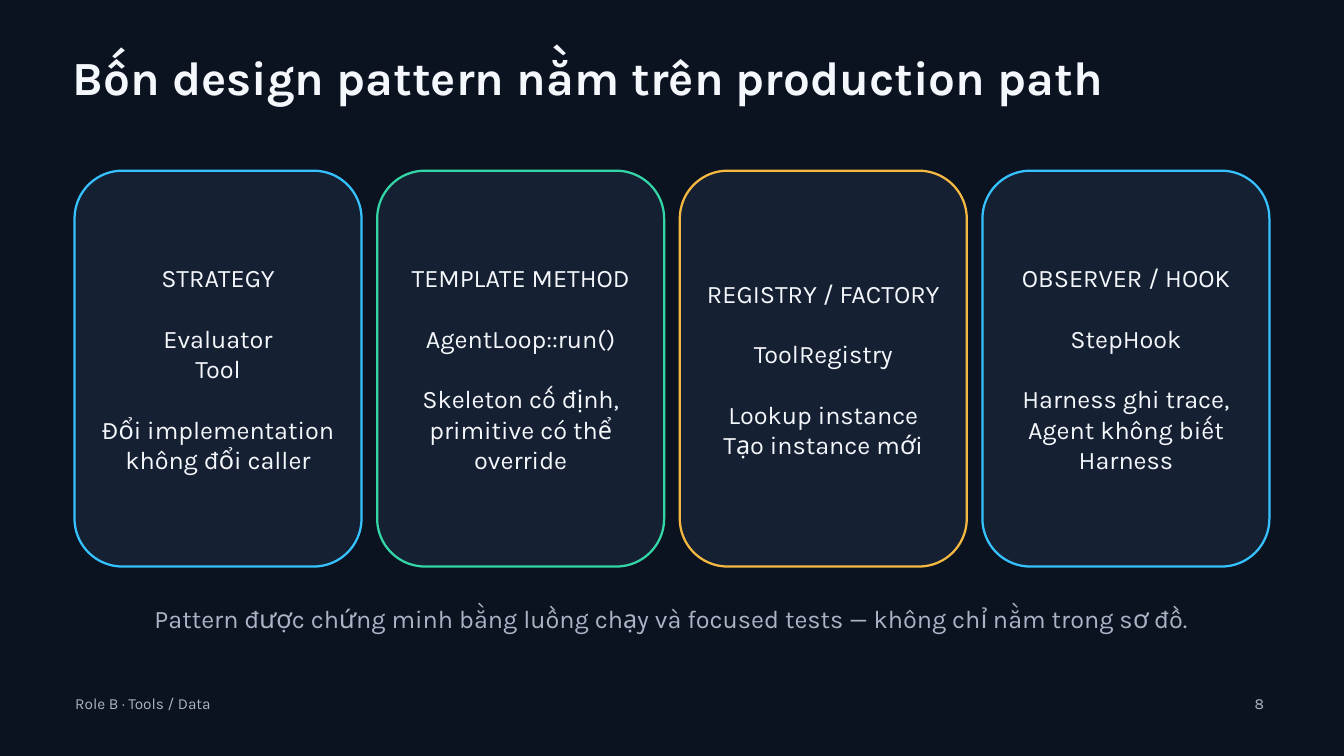
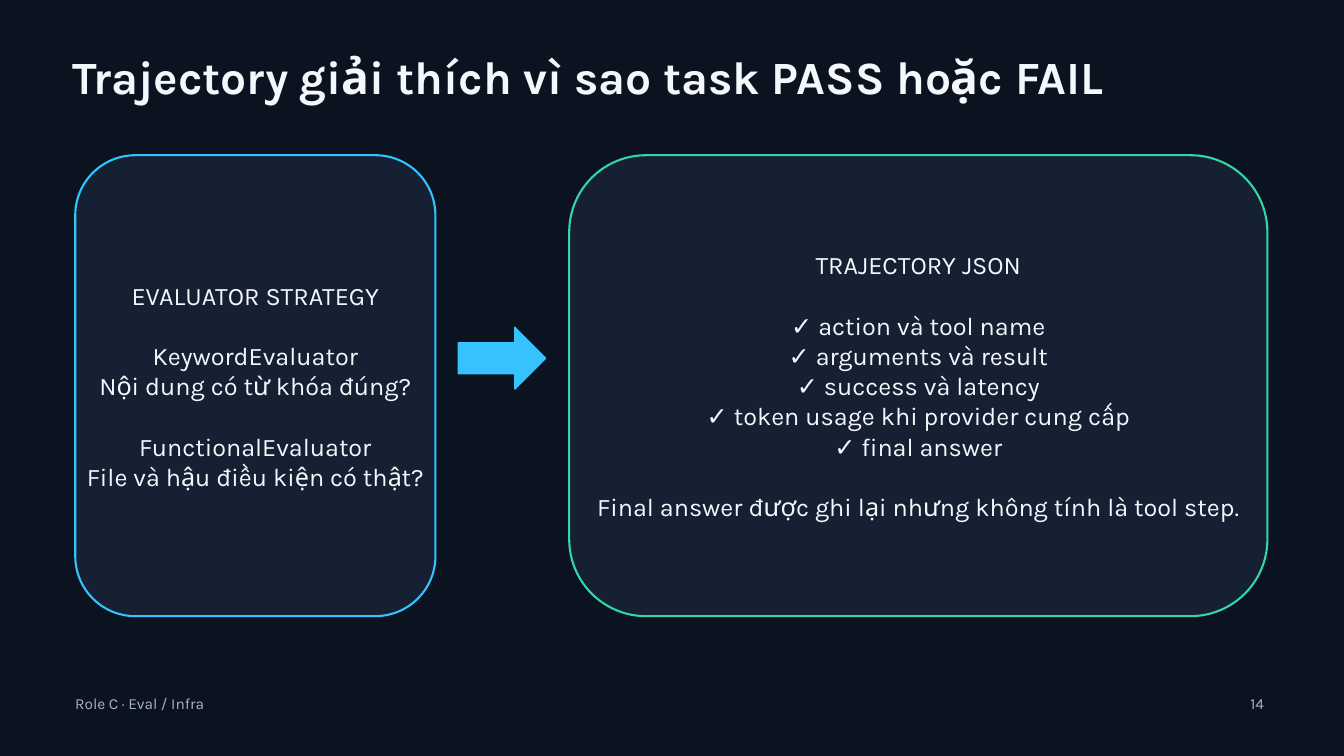
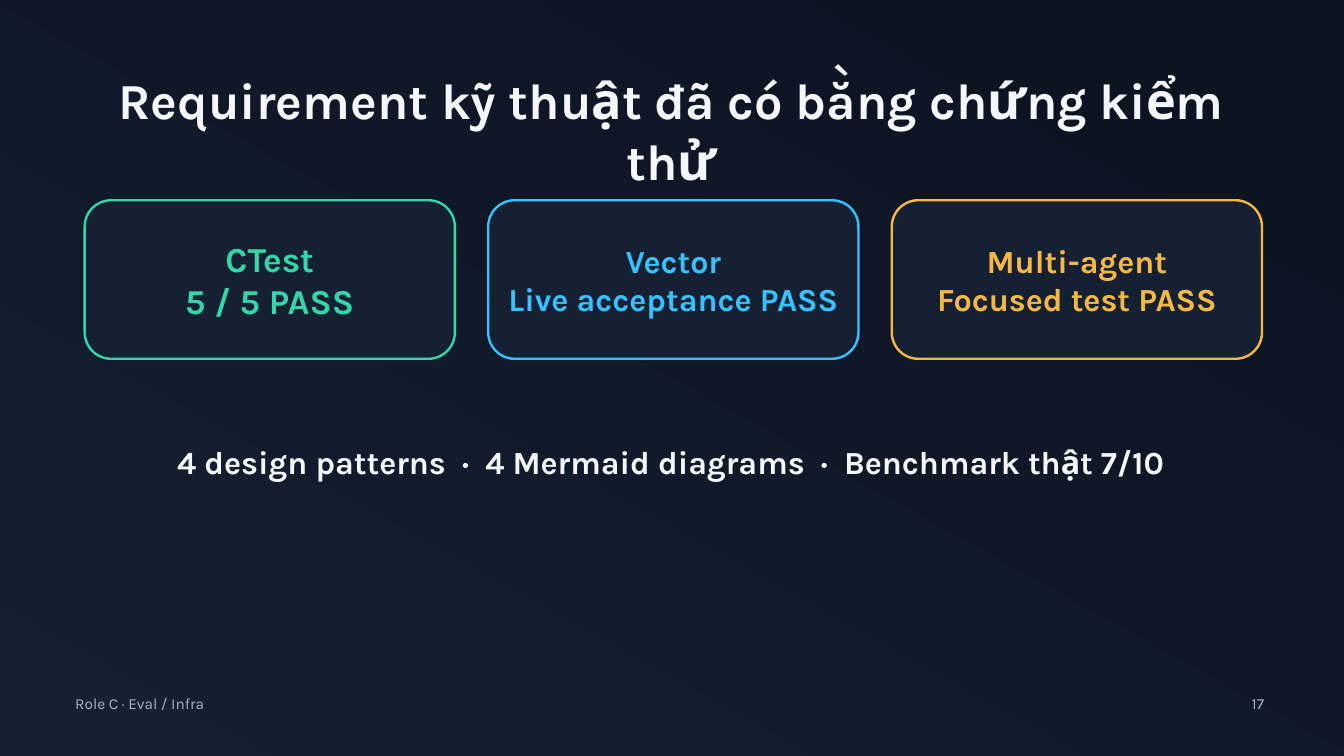
from pptx import Presentation
from pptx.dml.color import RGBColor
from pptx.enum.shapes import MSO_SHAPE
from pptx.enum.text import MSO_ANCHOR, MSO_AUTO_SIZE, PP_ALIGN
from pptx.util import Inches, Pt

ROUND, ARROW = MSO_SHAPE.ROUNDED_RECTANGLE, MSO_SHAPE.RIGHT_ARROW
TOP, MIDDLE = MSO_ANCHOR.TOP, MSO_ANCHOR.MIDDLE
LEFT, CENTER, RIGHT = PP_ALIGN.LEFT, PP_ALIGN.CENTER, PP_ALIGN.RIGHT
NO_FIT = MSO_AUTO_SIZE.NONE

FONT = "Karla"
LINE_RATIO = 1.2
COLORS = {
    "bg": "0B1220", "panel": "162033", "text": "F4F7FB", "muted": "A9B5C7",
    "blue": "35C2FF", "green": "33D6A6", "amber": "F5B942",
}

PATTERNS = {
    "title": "Bốn design pattern nằm trên production path",
    "cards": [
        ("blue", [["STRATEGY"], ["Evaluator", "Tool"],
                  ["Đổi implementation", "không đổi caller"]]),
        ("green", [["TEMPLATE METHOD"], ["AgentLoop::run()"],
                   ["Skeleton cố định,", "primitive có thể override"]]),
        ("amber", [["REGISTRY / FACTORY"], ["ToolRegistry"],
                   ["Lookup instance", "Tạo instance mới"]]),
        ("blue", [["OBSERVER / HOOK"], ["StepHook"],
                  ["Harness ghi trace,", "Agent không biết Harness"]]),
    ],
    "note": "Pattern được chứng minh bằng luồng chạy và focused tests — không chỉ nằm trong sơ đồ.",
    "footer": ("Role B · Tools / Data", "8"),
}
TRAJECTORY = {
    "title": "Trajectory giải thích vì sao task PASS hoặc FAIL",
    "cards": [
        (1.12, 5.36, "blue", [
            ["EVALUATOR STRATEGY"],
            ["KeywordEvaluator", "Nội dung có từ khóa đúng?"],
            ["FunctionalEvaluator", "File và hậu điều kiện có thật?"]]),
        (8.47, 10.39, "green", [
            ["TRAJECTORY JSON"],
            ["✓ action và tool name", "✓ arguments và result",
             "✓ success và latency", "✓ token usage khi provider cung cấp",
             "✓ final answer"],
            ["Final answer được ghi lại nhưng không tính là tool step."]]),
    ],
    "footer": ("Role C · Eval / Infra", "14"),
}
EVIDENCE = {
    "title": "Requirement kỹ thuật đã có bằng chứng kiểm thử",
    "cards": [
        ("green", 37.5, [["CTest", "5 / 5 PASS"]]),
        ("blue", 34.5, [["Vector", "Live acceptance PASS"]]),
        ("amber", 34.5, [["Multi-agent", "Focused test PASS"]]),
    ],
    "note": "4 design patterns  ·  4 Mermaid diagrams  ·  Benchmark thật 7/10",
    "footer": ("Role C · Eval / Infra", "17"),
}


def rgb(name):
    return RGBColor.from_string(COLORS[name])


def set_attrs(obj, values):
    for name, value in values.items():
        setattr(obj, name, value)


def write(sp, groups, size, color="text", bold=False, align=LEFT,
          anchor=TOP, inset=0, wrap=True):
    tf = sp.text_frame
    set_attrs(tf, {"auto_size": NO_FIT, "word_wrap": wrap, "vertical_anchor": anchor})
    for side in ("left", "top", "right", "bottom"):
        setattr(tf, f"margin_{side}", Inches(inset))
    line = Pt(size * LINE_RATIO)
    rows = [(text, g > 0 and i == 0)
            for g, group in enumerate(groups) for i, text in enumerate(group)]
    for n, (text, starts_group) in enumerate(rows):
        p = tf.add_paragraph() if n else tf.paragraphs[0]
        set_attrs(p, {"alignment": align, "line_spacing": line,
                      "space_before": line if starts_group else Pt(0)})
        r = p.add_run()
        r.text = text
        set_attrs(r.font, {"name": FONT, "size": Pt(size), "bold": bold})
        r.font.color.rgb = rgb(color)


def add_text(s, box, text, size, **style):
    sp = s.shapes.add_textbox(*map(Inches, box))
    write(sp, [[text]], size, **style)


def add_panel(s, kind, box, fill, line, width):
    sp = s.shapes.add_shape(kind, *map(Inches, box))
    sp.shadow.inherit = False
    sp.fill.solid()
    sp.fill.fore_color.rgb = rgb(fill)
    sp.line.color.rgb = rgb(line)
    sp.line.width = Pt(width)
    return sp


def add_card(s, box, accent, groups, line_width, size=27, **style):
    sp = add_panel(s, ROUND, box, "panel", accent, line_width)
    write(sp, groups, size, align=CENTER, anchor=MIDDLE, inset=0.06, **style)


def columns(left, right, width, count):
    step = (right - left - width) / (count - 1)
    return [left + i * step for i in range(count)]


def add_slide(prs, content, title_box, title_size, align=LEFT):
    s = prs.slides.add_slide(prs.slide_layouts[5])
    sp = s.shapes.title
    set_attrs(sp, dict(zip(("left", "top", "width", "height"), map(Inches, title_box))))
    write(sp, [[content["title"]]], title_size, bold=True, align=align)
    role, number = content["footer"]
    add_text(s, (1.12, 10.33, 4.9, 0.35), role, 16.5, color="muted")
    add_text(s, (18.26, 10.33, 0.55, 0.35), number, 16.5, color="muted", align=RIGHT)
    return s


def patterns_slide(prs):
    s = add_slide(prs, PATTERNS, (1.08, 0.72, 17.66, 1.04), 51)
    cards = PATTERNS["cards"]
    for x, (accent, groups) in zip(columns(1.11, 18.89, 4.27, len(cards)), cards):
        add_card(s, (x, 2.54, 4.27, 5.89), accent, groups, 2.4)
    add_text(s, (2.13, 8.98, 15.71, 0.53), PATTERNS["note"], 27,
             color="muted", align=CENTER)


def trajectory_slide(prs):
    s = add_slide(prs, TRAJECTORY, (1.08, 0.72, 17.81, 1.04), 49.5)
    for x, width, accent, groups in TRAJECTORY["cards"]:
        add_card(s, (x, 2.31, width, 6.86), accent, groups, 2.25, wrap=False)
    add_panel(s, ARROW, (6.82, 4.87, 1.3, 0.92), "blue", "blue", 1.5)


def evidence_slide(prs):
    s = add_slide(prs, EVIDENCE, (1.23, 1.03, 17.51, 1.18), 54, CENTER)
    fill = s.background.fill
    fill.gradient()
    fill.gradient_angle = 360 - 119
    for stop, name in zip(fill.gradient_stops, ("bg", "panel")):
        stop.color.rgb = rgb(name)
    cards = EVIDENCE["cards"]
    for x, (accent, size, groups) in zip(columns(1.26, 18.78, 5.51, len(cards)), cards):
        add_card(s, (x, 2.98, 5.51, 2.36), accent, groups, 2.55, size,
                 color=accent, bold=True)
    add_text(s, (1.9, 6.58, 16.16, 0.73), EVIDENCE["note"], 34.5,
             bold=True, align=CENTER)


def main():
    prs = Presentation()
    set_attrs(prs, {"slide_width": Inches(20), "slide_height": Inches(11.25)})
    fill = prs.slide_master.background.fill
    fill.solid()
    fill.fore_color.rgb = rgb("bg")
    for build in (patterns_slide, trajectory_slide, evidence_slide):
        build(prs)
    prs.save("out.pptx")


if __name__ == "__main__":
    main()
